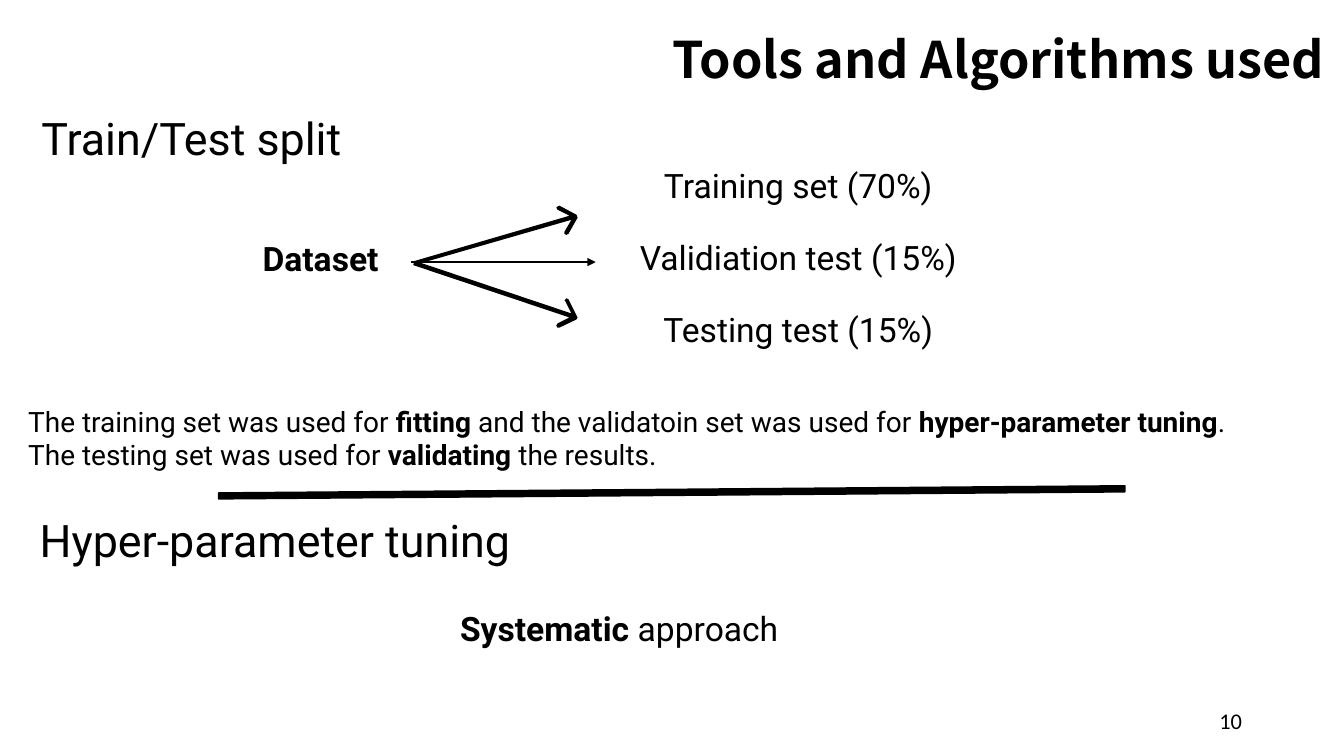
"""Build the slide on the train/test split and hyper-parameter tuning."""
from lxml import etree
from pptx import Presentation
from pptx import util as u
from pptx.dml.color import RGBColor
from pptx.enum import shapes, text
from pptx.oxml.ns import qn

Pt = u.Pt
BLACK = RGBColor(0, 0, 0)
LEFT, CENTER, RIGHT = text.PP_ALIGN.LEFT, text.PP_ALIGN.CENTER, text.PP_ALIGN.RIGHT
BODY = "Roboto"
LABEL_WIDTH = 432
SETS_LEFT, SETS_TOP, SETS_STEP = 354.2, 114.2, 51.5

TITLE = [[("Tools and Algorithms used", True)]]
PAGE_NUMBER = [[("10", False)]]
SETS = ["Training set (70%)", "Validiation test (15%)", "Testing test (15%)"]
HEADINGS = [("Train/Test split", -79.2, 75.6), ("Hyper-parameter tuning", -19.4, 362.9)]
DATASET = [[("Dataset", True)]]
APPROACH = [[("Systematic ", True), ("approach ", False)]]
EXPLANATION = [
    [("The training set was used for ", False), ("fitting ", True),
     ("and the validatoin set was used for ", False),
     ("hyper-parameter tuning", True), (".", False)],
    [("The testing set was used for ", False), ("validating ", True),
     ("the results.", False)],
]
SPLIT_ARROWS = [
    (412.6, 226.8), (406.1, 213.8), (404.6, 213.1), (403.2, 214.6),
    (403.9, 215.3), (408.2, 223.9), (301, 187.9), (408.2, 157),
    (403.2, 165.6), (403.2, 167), (404.6, 167.8), (406.1, 167),
    (412.6, 155.5), (411.8, 153.4), (399.6, 146.9), (398.2, 147.6),
    (397.4, 148.3), (398.2, 149.8), (406.8, 154.1), (295.9, 186.5),
    (295.2, 189.4), (406.8, 226.8), (398.2, 231.1), (397.4, 232.6),
    (398.2, 234), (399.6, 234), (411.8, 228.2),
]
DIVIDER = [(803.5, 347), (156.2, 352.1), (156.2, 356.4), (803.5, 351.4)]
MIDDLE_ARROW = (293.8, 187.2, 425.5, 187.2)


def add_text(s, paragraphs, box, size, align=CENTER, font=BODY, after=0, **frame):
    """Add a wrapped text box of (words, bold) runs."""
    tf = s.shapes.add_textbox(*map(Pt, box)).text_frame
    for name, value in {"word_wrap": True, **frame}.items():
        setattr(tf, name, value)
    for i, runs in enumerate(paragraphs):
        p = tf.add_paragraph() if i else tf.paragraphs[0]
        p.alignment, p.space_after = align, Pt(after)
        for words, bold in runs:
            r = p.add_run()
            r.text = words
            for name, value in {"name": font, "size": Pt(size), "bold": bold}.items():
                setattr(r.font, name, value)
            r.font.color.rgb = BLACK


def add_outline(s, points, line_width=0):
    """Add a closed black freeform, with a line if it has a width."""
    corners = [(Pt(x), Pt(y)) for x, y in points]
    builder = s.shapes.build_freeform(*corners[0])
    builder.add_line_segments(corners[1:], close=True)
    sp = builder.convert_to_shape()
    sp.shadow.inherit = False
    sp.fill.solid()
    sp.fill.fore_color.rgb = BLACK
    if line_width:
        sp.line.color.rgb, sp.line.width = BLACK, Pt(line_width)
    else:
        sp.line.fill.background()


def add_arrow(s, ends, width):
    """Add a straight black arrow."""
    sp = s.shapes.add_connector(shapes.MSO_CONNECTOR.STRAIGHT, *map(Pt, ends))
    sp.line.color.rgb, sp.line.width = BLACK, Pt(width)
    etree.SubElement(sp.line._get_or_add_ln(), qn("a:tailEnd"), type="triangle")
    etree.SubElement(sp._element.spPr, qn("a:effectLst"))


def main():
    """Lay out the slide and save it."""
    prs = Presentation()
    prs.slide_width, prs.slide_height = Pt(960), Pt(540)
    s = prs.slides.add_slide(prs.slide_layouts[6])

    add_text(s, PAGE_NUMBER, (678.2, 500.4, 216, 28.8), 16, RIGHT, "Calibri",
             vertical_anchor=text.MSO_ANCHOR.MIDDLE)
    add_text(s, TITLE, (480.2, 20.2, 1224, 215.3), 36, LEFT, "Noto Sans CJK KR", 6,
             margin_left=0, margin_top=0, margin_right=0, margin_bottom=0)
    for words, left, top in HEADINGS:
        add_text(s, [[(words, False)]], (left, top, LABEL_WIDTH, 60.5), 32)
    add_text(s, DATASET, (13, 166.3, LABEL_WIDTH, 51.1), 24)
    for i, words in enumerate(SETS):
        box = (SETS_LEFT, SETS_TOP + i * SETS_STEP, LABEL_WIDTH, 51.1)
        add_text(s, [[(words, False)]], box, 24)
    add_text(s, APPROACH, (37.4, 430.6, 815.8, 51.1), 24)
    add_text(s, EXPLANATION, (13, 285.1, 1317.6, 70.6), 20, LEFT)
    add_outline(s, SPLIT_ARROWS)
    add_arrow(s, MIDDLE_ARROW, 1.5)
    add_outline(s, DIVIDER, 1)
    prs.save("out.pptx")


if __name__ == "__main__":
    main()
